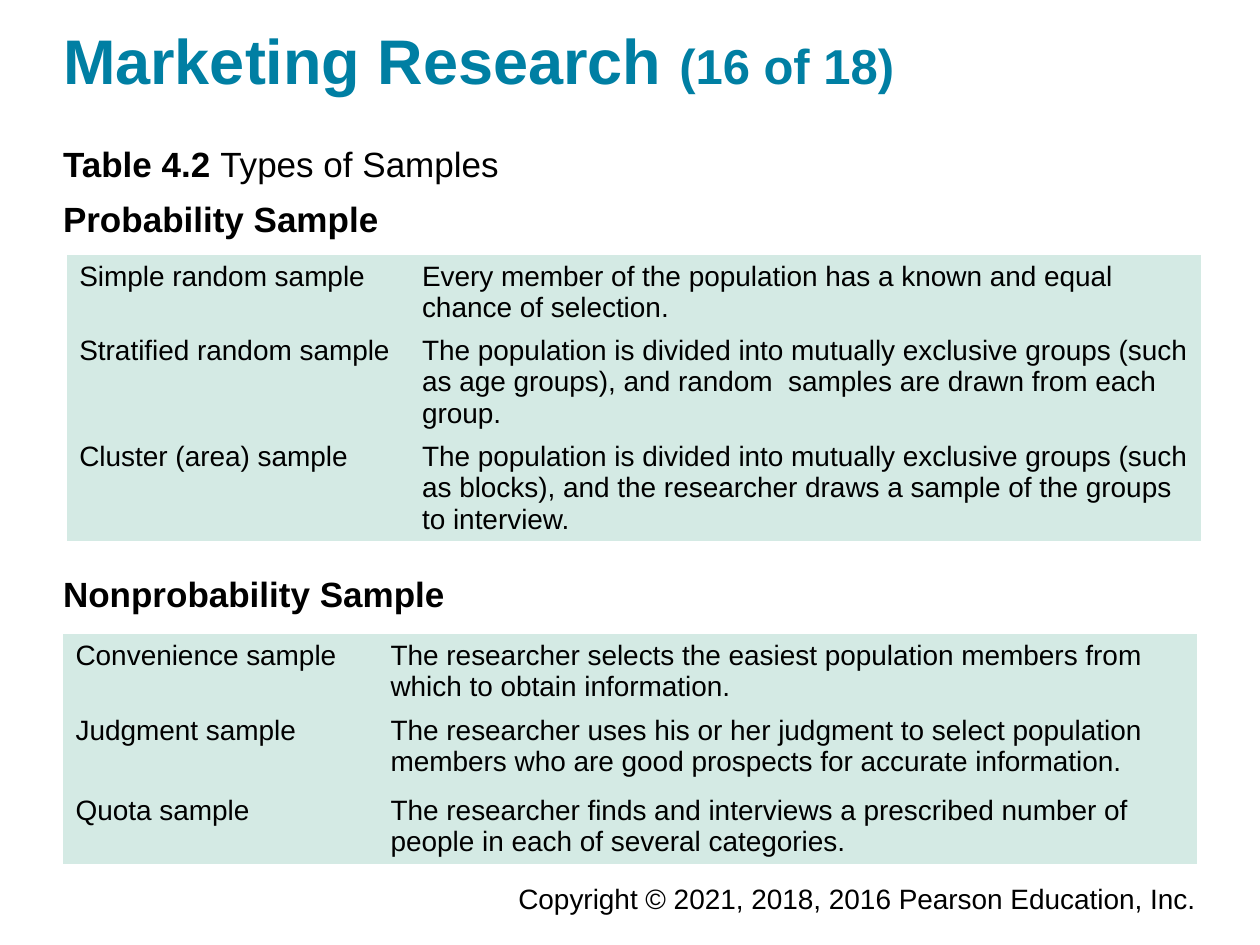
from pptx import Presentation
from pptx import util as u
from pptx.dml.color import RGBColor
from pptx.enum import text
from pptx.oxml.ns import qn

COLORS = {"title": "007FA3", "text": "000000", "cell": "D4EAE4"}
FONT = "Arial"
COLUMN, ROW = u.Inches(0.5), u.Inches(0.25)  # 20 columns by 30 rows
MARGIN, SPAN = 1, 18
NO_STYLE_NO_GRID = "{2D5ABB26-0587-4C30-8999-92F81FD0307C}"
COMPARISON_LAYOUT = 4

PROBABILITY = [
    ("Simple random sample",
     "Every member of the population has a known and equal chance of selection."),
    ("Stratified random sample",
     "The population is divided into mutually exclusive groups (such as age groups), "
     "and random  samples are drawn from each group."),
    ("Cluster (area) sample",
     "The population is divided into mutually exclusive groups (such as blocks), "
     "and the researcher draws a sample of the groups to interview."),
]
NONPROBABILITY = [
    ("Convenience sample",
     "The researcher selects the easiest population members from which to obtain information."),
    ("Judgment sample",
     "The researcher uses his or her judgment to select population members "
     "who are good prospects for accurate information."),
    ("Quota sample",
     "The researcher finds and interviews a prescribed number of people "
     "in each of several categories."),
]


def across(columns):
    return round(columns * COLUMN)


def down(rows):
    return round(rows * ROW)


class SlideBuilder:
    def __init__(self, deck):
        self.slide = deck.slides.add_slide(deck.slide_layouts[COMPARISON_LAYOUT])

    def add_runs(self, paragraph, runs, color="text", align=text.PP_ALIGN.LEFT):
        """Add (words, size, bold) runs to a paragraph."""
        paragraph.alignment = align
        paragraph.space_before = u.Pt(0)
        for words, size, bold in runs:
            run = paragraph.add_run()
            run.text = words
            run.font.name = FONT
            run.font.size = u.Pt(size)
            run.font.bold = bold
            run.font.color.rgb = RGBColor.from_string(COLORS[color])

    def set_frame(self, frame, anchor=text.MSO_ANCHOR.TOP):
        frame.margin_left = frame.margin_right = 0
        frame.margin_top = frame.margin_bottom = 0
        frame.word_wrap = True
        frame.auto_size = text.MSO_AUTO_SIZE.NONE
        frame.vertical_anchor = anchor

    def placeholder(self, idx, top, height, runs, color="text",
                    anchor=text.MSO_ANCHOR.TOP):
        holder = self.slide.placeholders[idx]
        holder.left, holder.top = across(MARGIN), down(top)
        holder.width, holder.height = across(SPAN), down(height)
        self.set_frame(holder.text_frame, anchor)
        paragraph = holder.text_frame.paragraphs[0]
        properties = paragraph._p.get_or_add_pPr()
        properties.set("marL", "0")
        properties.set("indent", "0")
        properties.append(properties.makeelement(qn("a:buNone"), {}))
        self.add_runs(paragraph, runs, color)

    def table(self, left, top, widths, heights, entries):
        table = self.slide.shapes.add_table(
            len(entries), len(widths), across(left), down(top),
            across(sum(widths)), down(sum(heights))).table
        table.first_row = table.horz_banding = False
        table._tbl.tblPr.find(qn("a:tableStyleId")).text = NO_STYLE_NO_GRID
        for column, width in zip(table.columns, widths):
            column.width = across(width)
        for row, height, entry in zip(table.rows, heights, entries):
            row.height = down(height)
            for cell, words in zip(row.cells, entry):
                cell.fill.solid()
                cell.fill.fore_color.rgb = RGBColor.from_string(COLORS["cell"])
                self.add_runs(cell.text_frame.paragraphs[0], [(words, 16, False)])

    def footer(self, left, top, width, height, words):
        frame = self.slide.shapes.add_textbox(
            across(left), down(top), across(width), down(height)).text_frame
        self.set_frame(frame)
        self.add_runs(frame.paragraphs[0], [(words, 16, False)],
                      align=text.PP_ALIGN.RIGHT)

    def remove_empty_placeholders(self):
        for holder in list(self.slide.placeholders):
            if not holder.text_frame.text:
                holder._element.getparent().remove(holder._element)


def main():
    deck = Presentation()
    deck.slide_width, deck.slide_height = across(20), down(30)
    builder = SlideBuilder(deck)
    builder.placeholder(0, 0.84, 2.24,
                        [("Marketing Research ", 36, True), ("(16 of 18)", 28, True)],
                        "title", text.MSO_ANCHOR.BOTTOM)
    builder.placeholder(1, 4.52, 1.36,
                        [("Table 4.2 ", 20, True), ("Types of Samples", 20, False)])
    builder.placeholder(2, 6.28, 1.44, [("Probability Sample", 20, True)])
    builder.table(1.06, 8.08, (5.44, 12.56), (2.36, 3.36, 3.36), PROBABILITY)
    builder.placeholder(3, 18.16, 1.48, [("Nonprobability Sample", 20, True)])
    builder.table(MARGIN, 20.12, (5, 13), (2.36, 2.56, 2.36), NONPROBABILITY)
    builder.footer(7.82, 28, 11.16, 1.08,
                   "Copyright © 2021, 2018, 2016 Pearson Education, Inc.")
    builder.remove_empty_placeholders()
    deck.save("out.pptx")


if __name__ == "__main__":
    main()
